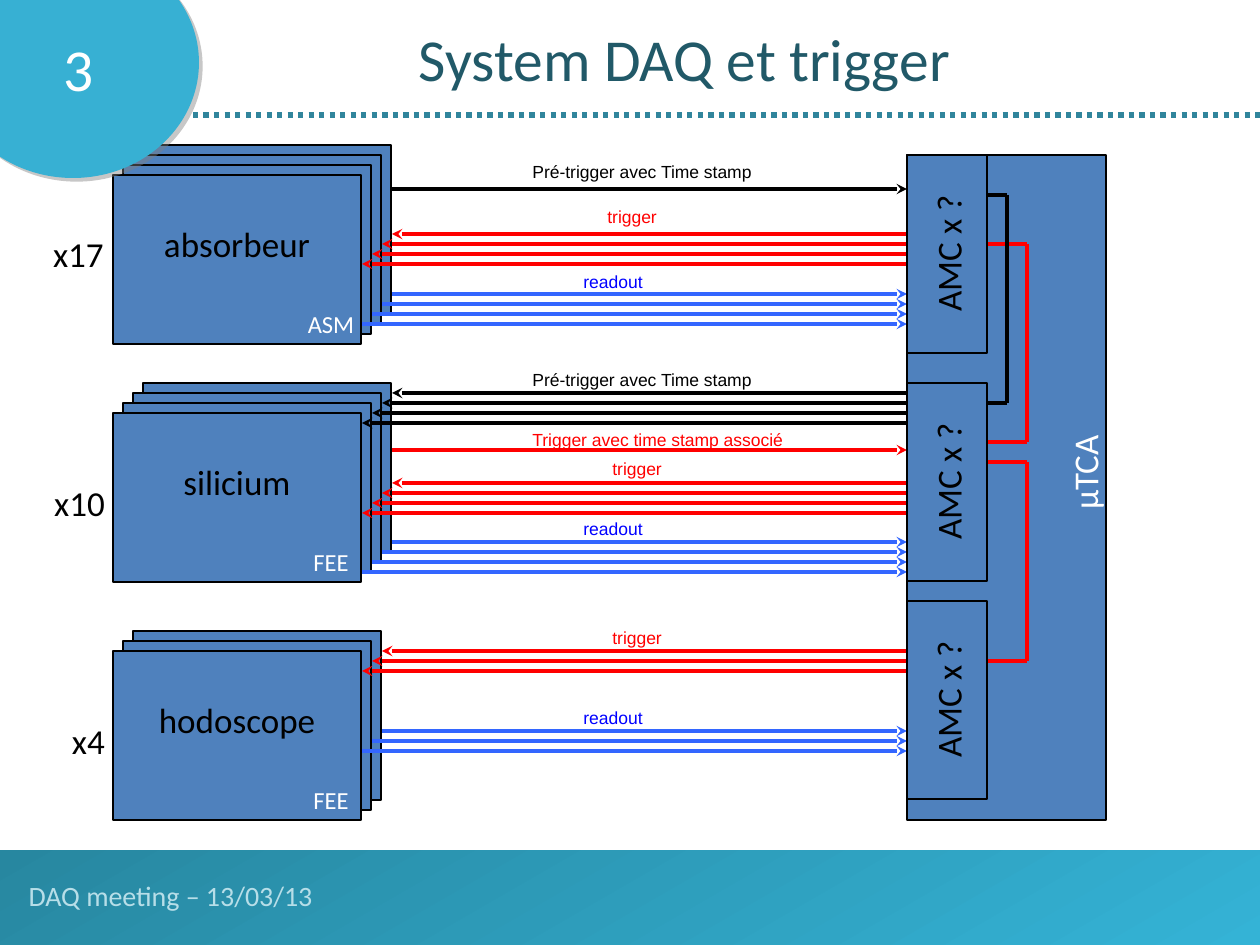
from lxml import etree
from pptx import Presentation
from pptx.dml.color import RGBColor
from pptx.enum.dml import MSO_LINE
from pptx.enum.shapes import MSO_CONNECTOR, MSO_SHAPE
from pptx.enum.text import MSO_ANCHOR, MSO_AUTO_SIZE, PP_ALIGN
from pptx.oxml.ns import qn
from pptx.util import Pt

RECT, OVAL = MSO_SHAPE.RECTANGLE, MSO_SHAPE.OVAL
STRAIGHT = MSO_CONNECTOR.STRAIGHT
DOTS = MSO_LINE.ROUND_DOT
LEFT, CENTER = PP_ALIGN.LEFT, PP_ALIGN.CENTER
TOP, MIDDLE = MSO_ANCHOR.TOP, MSO_ANCHOR.MIDDLE

BLACK = RGBColor(0x00, 0x00, 0x00)
WHITE = RGBColor(0xFF, 0xFF, 0xFF)
RED = RGBColor(0xFF, 0x00, 0x00)
BLUE = RGBColor(0x33, 0x66, 0xFF)
INK = RGBColor(0x00, 0x00, 0xFF)
BOX = RGBColor(0x4F, 0x81, 0xBD)
TITLE = RGBColor(0x21, 0x59, 0x68)
RULE = RGBColor(0x31, 0x85, 0x9C)
DISC = RGBColor(0x37, 0xB0, 0xD3)
LIGHT = RGBColor(0x34, 0xB3, 0xD6)
DARK = RGBColor(0x27, 0x87, 0xA0)
PALE = RGBColor(0xB7, 0xDE, 0xE8)

WIDE, HIGH = 1260, 945
STEP = 10                   # offset between stacked cards and between arrows
CARD_X, CARD_W, CARD_H = 113, 248, 169
EDGE = CARD_X + CARD_W + 1  # right side of the front card
CRATE_X, AMC_W, AMC_H = 907, 80, 198

PRE = "Pré-trigger avec Time stamp"
# Fans: first y, arrow count, colour, goes to the crate
# Notes: text, left, top, colour
UNITS = [
    dict(name="absorbeur", tag="ASM", count="x17", count_at=(34, 49),
         top=175, cards=4,
         fans=[(189, 1, BLACK, True), (234, 4, RED, False),
               (294, 4, BLUE, True)],
         notes=[(PRE, 520, 155, BLACK), ("trigger", 595, 200, RED),
                ("readout", 571, 265, INK)]),
    dict(name="silicium", tag="FEE", count="x10", count_at=(35, 60),
         top=413, cards=4,
         fans=[(393, 4, BLACK, False), (450, 1, RED, True),
               (483, 4, RED, False), (542, 4, BLUE, True)],
         notes=[(PRE, 520, 363, BLACK),
                ("Trigger avec time stamp associé", 520, 423, RED),
                ("trigger", 600, 452, RED), ("readout", 571, 512, INK)]),
    dict(name="hodoscope", tag="FEE", count="x4", count_at=(44, 60),
         top=651, cards=3,
         fans=[(651, 3, RED, False), (731, 3, BLUE, True)],
         notes=[("trigger", 600, 621, RED), ("readout", 571, 701, INK)]),
]
AMC_TOPS = (155, 383, 601)
# Links between AMC cards: start y, end y, reach, colour
LINKS = [(244, 442, 40, RED), (462, 661, 40, RED), (195, 403, 20, BLACK)]


def px(n):
    return round(n * 914400 / 126)


def place(shape, box):
    shape.left, shape.top, shape.width, shape.height = map(px, box)


def write(shape, text, size, color, align=CENTER, anchor=MIDDLE,
          font="Calibri"):
    frame = shape.text_frame
    frame.text = text
    frame.word_wrap = True
    frame.auto_size = MSO_AUTO_SIZE.NONE
    frame.vertical_anchor = anchor
    para = frame.paragraphs[0]
    para.alignment = align
    para.font.name, para.font.size = font, Pt(size)
    para.font.color.rgb = color


def label(slide, box, text, size, color, turn=0, **look):
    shape = slide.shapes.add_textbox(*map(px, box))
    shape.rotation = turn
    write(shape, text, size, color, **look)


def panel(slide, box, kind=RECT, fill=BOX, line=BLACK):
    shape = slide.shapes.add_shape(kind, *map(px, box))
    shape.shadow.inherit = False
    shape.fill.solid()
    shape.fill.fore_color.rgb = fill
    if line is None:
        shape.line.fill.background()
    else:
        shape.line.color.rgb = line
        shape.line.width = Pt(0.75)
    return shape


def wire(slide, x1, y1, x2, y2, color, width=2, head=False):
    line = slide.shapes.add_connector(STRAIGHT, *map(px, (x1, y1, x2, y2)))
    line.line.color.rgb = color
    line.line.width = Pt(width)
    if head:
        etree.SubElement(line.line._get_or_add_ln(), qn("a:tailEnd"),
                         type="stealth")
    etree.SubElement(line.element.spPr, qn("a:effectLst"))
    return line


def stack(slide, x, y, count):
    for i in reversed(range(count)):
        panel(slide, (x + i * STEP, y - i * STEP, CARD_W, CARD_H))


def unit(slide, x, y, part):
    """Texts and arrows of one detector whose front card is at x, y."""
    label(slide, (x + 20, y + 39, 208, 59), part["name"], 20, BLACK)
    label(slide, (x + 159, y + 119, 118, 59), part["tag"], 14, WHITE)
    left, drop = part["count_at"]
    label(slide, (left, y + drop, 89, 59), part["count"], 20, BLACK)
    for top, count, color, out in part["fans"]:
        for i in range(count):
            near = EDGE + STEP * (part["cards"] - 1 - i)
            ends = (near, CRATE_X) if out else (CRATE_X, near)
            level = top + i * STEP
            wire(slide, ends[0], level, ends[1], level, color, head=True)
    for text, left, top, color in part["notes"]:
        label(slide, (left, top, 320, 34), text, 10, color,
              align=LEFT, anchor=TOP, font="Arial")


def crate(slide, x, y, w, h):
    panel(slide, (x, y, w, h))
    label(slide, (x - 31, y + 260, 417, 115), "µTCA", 20, WHITE, turn=270)


def cards(slide, x):
    """AMC cards of the crate and the links between them."""
    for y in AMC_TOPS:
        panel(slide, (x, y, AMC_W, AMC_H))
        label(slide, (x - 39, y + 69, 159, 59), "AMC x ?", 20, BLACK,
              turn=270)
    side = x + AMC_W + 1
    for y1, y2, reach, color in LINKS:
        far = side + reach - 1
        for y in (y1, y2):
            wire(slide, side, y, far, y, color)
        wire(slide, far, y1, far, y2, color)


def header(slide):
    rule = wire(slide, 193, 115, WIDE, 115, RULE, width=3)
    rule.line.dash_style = DOTS
    disc = panel(slide, (-53, -53, 252, 231), OVAL, DISC, None)
    glow = disc.element.spPr.find(qn("a:effectLst"))
    cast = etree.SubElement(glow, qn("a:outerShdw"), dist=str(Pt(3)),
                            dir="2700000", algn="ctr", rotWithShape="0")
    tint = etree.SubElement(cast, qn("a:srgbClr"), val="808080")
    etree.SubElement(tint, qn("a:alpha"), val="43000")
    label(slide, (-154, -34, 466, 203), "3", 34, WHITE)
    title = slide.shapes.title
    place(title, (203, 0, 963, 115))
    write(title, "System DAQ et trigger", 34, TITLE)


def footer(slide, y, h):
    band = panel(slide, (0, y, WIDE, h), line=None)
    band.fill.gradient()
    band.fill.gradient_angle = 120
    for stop, color in zip(band.fill.gradient_stops, (LIGHT, DARK)):
        stop.color.rgb = color
    note = slide.placeholders[1]
    place(note, (16, y + 22, 564, 73))
    write(note, "DAQ meeting – 13/03/13", 16, PALE, align=LEFT, anchor=TOP)
    band.element.addnext(note.element)  # text above the band


def main():
    deck = Presentation()
    deck.slide_width, deck.slide_height = px(WIDE), px(HIGH)
    slide = deck.slides.add_slide(deck.slide_layouts[0])
    for part in UNITS:
        stack(slide, CARD_X, part["top"], part["cards"])
    footer(slide, 850, 95)
    header(slide)
    crate(slide, CRATE_X, 155, 199, 665)
    for part in UNITS:
        unit(slide, CARD_X, part["top"], part)
    cards(slide, CRATE_X)
    deck.save("out.pptx")


if __name__ == "__main__":
    main()
